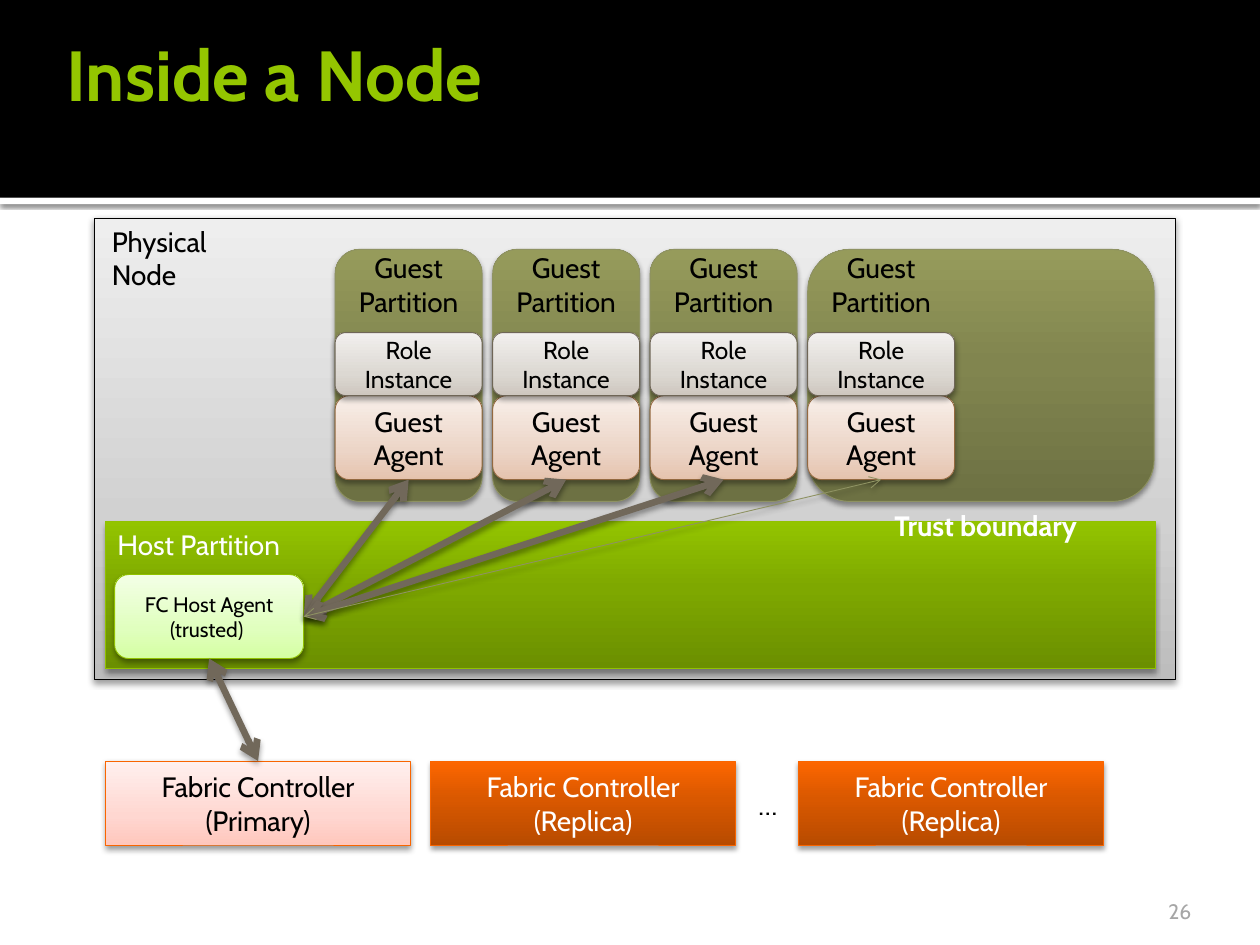
"""Build the "Inside a Node" architecture slide on a grid of 120 columns by 90 rows."""
from copy import deepcopy
from dataclasses import dataclass
from typing import NamedTuple, Optional

from lxml import etree
from pptx import Presentation
from pptx.dml.color import RGBColor
from pptx.enum.shapes import MSO_CONNECTOR, MSO_SHAPE
from pptx.enum.text import MSO_ANCHOR, PP_ALIGN
from pptx.oxml.ns import qn
from pptx.shapes.autoshape import Shape
from pptx.slide import Slide
from pptx.util import Inches, Pt

RECTANGLE, ROUNDED = MSO_SHAPE.RECTANGLE, MSO_SHAPE.ROUNDED_RECTANGLE
LEFT, CENTER, RIGHT = PP_ALIGN.LEFT, PP_ALIGN.CENTER, PP_ALIGN.RIGHT
TOP, MIDDLE = MSO_ANCHOR.TOP, MSO_ANCHOR.MIDDLE
STRAIGHT = MSO_CONNECTOR.STRAIGHT
TOP_SITE, BOTTOM_SITE, RIGHT_SITE = 0, 2, 3

FONT = "Cabin"
CELL = Inches(1) / 12
COLUMNS, ROWS = 120, 90

BLACK = RGBColor(0x00, 0x00, 0x00)
WHITE = RGBColor(0xFF, 0xFF, 0xFF)
LIME = RGBColor(0x94, 0xC6, 0x00)
LIME_EDGE = RGBColor(0x91, 0xC2, 0x00)
ORANGE_EDGE = RGBColor(0xF9, 0x65, 0x00)
OLIVE_EDGE = RGBColor(0x8E, 0x92, 0x62)
BROWN_EDGE = RGBColor(0x94, 0x69, 0x40)
STONE_EDGE = RGBColor(0x6F, 0x66, 0x57)
ARROW = RGBColor(0x71, 0x68, 0x5A)
NUMBER_GRAY = RGBColor(0xA6, 0xA6, 0xA6)
GRAYS = (RGBColor(0xBD, 0xBD, 0xBD), RGBColor(0xD1, 0xD1, 0xD1), RGBColor(0xEE, 0xEE, 0xEE))
PINKS = (RGBColor(0xFF, 0xC7, 0xBD), RGBColor(0xFF, 0xD7, 0xD1), RGBColor(0xFF, 0xF0, 0xEE))
LIMES = (RGBColor(0x6B, 0x8F, 0x00), RGBColor(0x7E, 0xA8, 0x00), RGBColor(0x93, 0xC4, 0x00))
MINTS = (RGBColor(0xD5, 0xFF, 0xA2), RGBColor(0xE0, 0xFF, 0xBE), RGBColor(0xF3, 0xFF, 0xE6))
OLIVES = (RGBColor(0x6D, 0x71, 0x43), RGBColor(0x81, 0x85, 0x4F), RGBColor(0x96, 0x9B, 0x5B))
PEACHES = (RGBColor(0xE5, 0xC3, 0xAE), RGBColor(0xEC, 0xD5, 0xC7), RGBColor(0xF8, 0xEF, 0xE9))
ORANGES = (RGBColor(0xB8, 0x4B, 0x00), RGBColor(0xD9, 0x58, 0x00), RGBColor(0xFD, 0x66, 0x00))
STONES = (RGBColor(0xCE, 0xC7, 0xBF), RGBColor(0xDC, 0xD8, 0xD2), RGBColor(0xF2, 0xF0, 0xEE))


class Area(NamedTuple):
    column: float
    row: float
    columns: float
    rows: float


class Shadow(NamedTuple):
    opacity: int
    blur: float
    distance: float


@dataclass(frozen=True)
class Look:
    colors: tuple[RGBColor, ...]
    edge: Optional[RGBColor]
    shadow: Optional[Shadow]
    middle: float = 0.35
    outline: MSO_SHAPE = RECTANGLE


@dataclass(frozen=True)
class TextStyle:
    size: float = 16
    color: RGBColor = BLACK
    bold: bool = False
    align: PP_ALIGN = LEFT
    anchor: MSO_ANCHOR = TOP
    wrap: bool = True


SOFT, TIGHT = Shadow(38, 3.5, 2), Shadow(38, 3.1, 2)
STRIP = Look((WHITE,), None, Shadow(60, 2.5, 0.8))
BANNER = Look((BLACK,), None, None)
NODE = Look(GRAYS, BLACK, SOFT)
HOST = Look(LIMES, LIME_EDGE, TIGHT, 0.55)
HOST_AGENT = Look(MINTS, LIME_EDGE, SOFT, outline=ROUNDED)
PARTITION = Look(OLIVES, OLIVE_EDGE, TIGHT, 0.55, ROUNDED)
GUEST_AGENT = Look(PEACHES, BROWN_EDGE, SOFT, outline=ROUNDED)
ROLE = Look(STONES, STONE_EDGE, SOFT, outline=ROUNDED)
PRIMARY = Look(PINKS, ORANGE_EDGE, SOFT)
REPLICA = Look(ORANGES, ORANGE_EDGE, TIGHT, 0.55)

BOXED = TextStyle(align=CENTER, anchor=MIDDLE)
BOXED_WHITE = TextStyle(color=WHITE, align=CENTER, anchor=MIDDLE)
LABEL = TextStyle(wrap=False)

GUEST_COLUMNS = [31.92 + 15 * index for index in range(4)]
GUEST_WIDTH = 14
CONTROLLERS = (
    (10.08, "Fabric Controller (Primary)", PRIMARY, BOXED),
    (41.04, "Fabric Controller (Replica)", REPLICA, BOXED_WHITE),
    (76.08, "Fabric Controller (Replica)", REPLICA, BOXED_WHITE),
)


def place(area: Area) -> list[int]:
    """Turn grid units into slide lengths."""
    return [round(value * CELL) for value in area]


def set_shadow(properties: etree._Element, shadow: Optional[Shadow]) -> None:
    """Replace the theme effect with the given downward shadow or with none."""
    effects = etree.SubElement(properties, qn("a:effectLst"))
    if shadow:
        outer = etree.SubElement(
            effects, qn("a:outerShdw"), blurRad=str(Pt(shadow.blur)),
            dist=str(Pt(shadow.distance)), dir="5400000", rotWithShape="0")
        color = etree.SubElement(outer, qn("a:srgbClr"), val=str(BLACK))
        etree.SubElement(color, qn("a:alpha"), val=str(shadow.opacity * 1000))


def set_fill(shape: Shape, look: Look) -> None:
    """Fill with one colour or with three stops running upward."""
    if len(look.colors) == 1:
        shape.fill.solid()
        shape.fill.fore_color.rgb = look.colors[0]
        return
    shape.fill.gradient()
    shape.fill.gradient_angle = 90
    stops = shape._element.spPr.find(".//" + qn("a:gsLst"))
    stops.append(deepcopy(stops[0]))
    for stop, color, position in zip(shape.fill.gradient_stops, look.colors, (0, look.middle, 1)):
        stop.color.rgb = color
        stop.position = position


def write(shape: Shape, text: str, style: TextStyle) -> None:
    """Write the lines of text as styled paragraphs."""
    frame = shape.text_frame
    frame.text = text
    frame.word_wrap = style.wrap
    frame.vertical_anchor = style.anchor
    for paragraph in frame.paragraphs:
        paragraph.alignment = style.align
        paragraph.font.name = FONT
        paragraph.font.size = Pt(style.size)
        paragraph.font.bold = style.bold
        paragraph.font.color.rgb = style.color


def add_box(slide: Slide, area: Area, look: Look, text: str = "",
            style: TextStyle = BOXED) -> Shape:
    """Draw a filled shape with optional text."""
    shape = slide.shapes.add_shape(look.outline, *place(area))
    set_fill(shape, look)
    if look.edge is None:
        shape.line.fill.background()
    else:
        shape.line.color.rgb = look.edge
        shape.line.width = Pt(0.5)
    set_shadow(shape._element.spPr, look.shadow)
    if text:
        write(shape, text, style)
    return shape


def add_label(slide: Slide, area: Area, text: str, style: TextStyle) -> Shape:
    """Draw a text box."""
    label = slide.shapes.add_textbox(*place(area))
    write(label, text, style)
    return label


def add_arrow(slide: Slide, start: Shape, start_site: int, end: Shape, end_site: int,
              color: RGBColor = ARROW, width: float = 3.78, shadow: Shadow = SOFT) -> None:
    """Join two shapes with a double-headed arrow."""
    connector = slide.shapes.add_connector(STRAIGHT, 0, 0, 0, 0)
    connector.begin_connect(start, start_site)
    connector.end_connect(end, end_site)
    connector.line.color.rgb = color
    connector.line.width = Pt(width)
    properties = connector._element.spPr
    for tag in ("a:headEnd", "a:tailEnd"):
        etree.SubElement(properties.find(qn("a:ln")), qn(tag), type="arrow")
    set_shadow(properties, shadow)


def main() -> None:
    """Compose and save the slide."""
    presentation = Presentation()
    presentation.slide_width, presentation.slide_height = round(COLUMNS * CELL), round(ROWS * CELL)
    slide = presentation.slides.add_slide(presentation.slide_layouts[6])

    add_box(slide, Area(0, 18.84, COLUMNS, 0.6), STRIP)
    add_box(slide, Area(0, 0, COLUMNS, 18.84), BANNER)
    add_label(slide, Area(5.16, 3, 109.8, 8), "Inside a Node",
              TextStyle(40.5, LIME, bold=True, anchor=MIDDLE))

    add_box(slide, Area(9, 20.76, 103, 44), NODE)
    add_label(slide, Area(9.48, 20.76, 18, 4.44), "Physical Node", LABEL)
    add_box(slide, Area(10, 49.68, 100, 14), HOST)
    add_label(slide, Area(10, 49.68, 18, 4.44), "Host Partition", TextStyle(color=WHITE, wrap=False))
    host_agent = add_box(slide, Area(10.92, 54.72, 18, 8), HOST_AGENT, "FC Host Agent\n(trusted) ",
                         TextStyle(12, align=CENTER, anchor=MIDDLE))

    guest_agents = []
    for column in GUEST_COLUMNS:
        width = 33 if column == GUEST_COLUMNS[-1] else GUEST_WIDTH
        add_box(slide, Area(column, 23.76, width, 24), PARTITION)
        add_label(slide, Area(column + 0.5, 23.28, GUEST_WIDTH - 1, 7.68), "Guest Partition",
                  TextStyle(align=CENTER))
        guest_agents.append(
            add_box(slide, Area(column, 37.68, GUEST_WIDTH, 8), GUEST_AGENT, "Guest Agent"))

    controllers = [add_box(slide, Area(column, 72.48, 29, 8), look, text, style)
                   for column, text, look, style in CONTROLLERS]
    add_label(slide, Area(71.04, 74.4, 4.56, 4.44), "…", LABEL)

    add_arrow(slide, controllers[0], TOP_SITE, host_agent, BOTTOM_SITE)
    for agent in guest_agents[:-1]:
        add_arrow(slide, host_agent, RIGHT_SITE, agent, BOTTOM_SITE)
    add_arrow(slide, host_agent, RIGHT_SITE, guest_agents[-1], BOTTOM_SITE, OLIVE_EDGE, 0.5, TIGHT)

    for column in GUEST_COLUMNS:
        add_box(slide, Area(column, 31.68, GUEST_WIDTH, 6), ROLE, "Role Instance",
                TextStyle(14, align=CENTER, anchor=MIDDLE))
    add_label(slide, Area(84, 47.88, 22, 5.64), "Trust boundary", TextStyle(color=WHITE, bold=True))
    add_label(slide, Area(86.64, 84.96, 28, 4.8), "26", TextStyle(12, NUMBER_GRAY, align=RIGHT))
    presentation.save("out.pptx")


if __name__ == "__main__":
    main()
